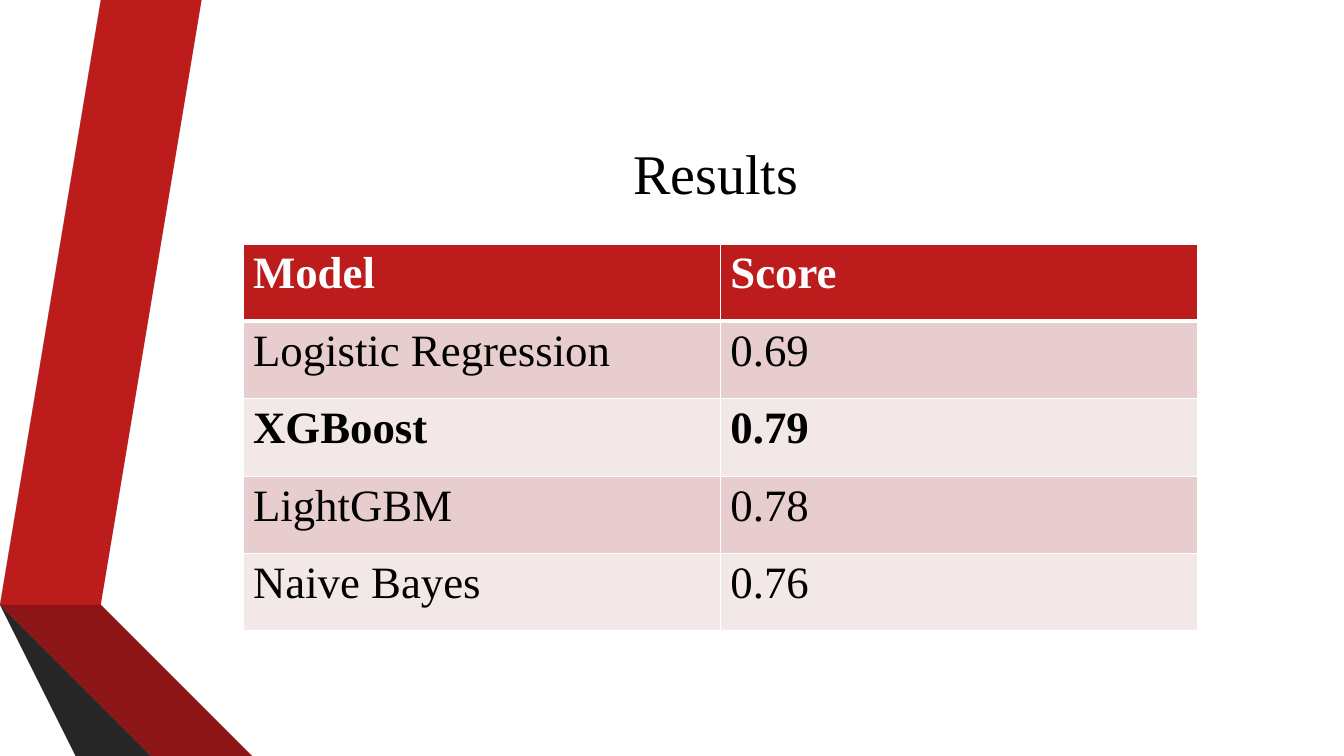
from lxml.etree import SubElement
from pptx import Presentation
from pptx.dml.color import RGBColor
from pptx.enum.text import MSO_ANCHOR as Anchor, PP_ALIGN as Align
from pptx.oxml.ns import qn
from pptx.util import Inches, Pt

FONT = "Times New Roman"
UNIT = Inches(1)  # one column or row of the layout grid
COLS, ROWS = 13.33, 7.5
BLACK, WHITE, RED = "000000", "FFFFFF", "BC1C1C"
BANDS = ("E7CDCD", "F3E8E8")

RIBBONS = [
    (RED, [(0.5, 5.78), (0.77, 5.83), (1.73, 0), (1.45, 0)]),
    ("595959", [(1.39, 0), (1.11, 0), (0.16, 5.73), (0.44, 5.77)]),
    ("262626", [(0.16, 5.73), (1.45, ROWS), (1.51, ROWS)]),
    ("5E0E0E", [(0.5, 5.79), (2.08, ROWS), (2.14, ROWS)]),
    ("8D1515", [(0.5, 5.78), (0.5, 5.79), (2.14, ROWS), (2.83, ROWS), (0.77, 5.83)]),
    ("404040", [(2.02, ROWS), (0.48, 5.83), (0.43, 5.78), (0.44, 5.77),
                (0.16, 5.73), (1.51, ROWS)]),
]
SCORES = [
    ("Model", "Score"),
    ("Logistic Regression", "0.69"),
    ("XGBoost", "0.79"),
    ("LightGBM", "0.78"),
    ("Naive Bayes", "0.76"),
]
BOLD_ROWS = (0, 2)  # the header and the best model


def grid(*counts):
    """Turn grid counts into lengths."""
    return [int(n * UNIT) for n in counts]


def paint(fill, color):
    """Give a fill one solid colour."""
    fill.solid()
    fill.fore_color.rgb = RGBColor.from_string(color)


def write(tf, text, size, color, bold=False, align=Align.LEFT):
    """Write one paragraph into a text frame."""
    p = tf.paragraphs[0]
    p.text, p.alignment = text, align
    p.font.name, p.font.size, p.font.bold = FONT, Pt(size), bold
    paint(p.font.fill, color)


def add_ribbon(s, color, points):
    """Draw one closed, unlined outline."""
    builder = s.shapes.build_freeform(*points[0], scale=UNIT)
    builder.add_line_segments(points[1:], close=True)
    sp = builder.convert_to_shape()
    paint(sp.fill, color)
    sp.line.fill.background()
    sp.shadow.inherit = False


def add_title(s, text, box):
    """Add the centred slide title."""
    tf = s.shapes.add_textbox(*grid(*box)).text_frame
    tf.word_wrap, tf.vertical_anchor = True, Anchor.MIDDLE
    write(tf, text, 40, BLACK, align=Align.CENTER)


def add_borders(cell, widths):
    """Add white cell borders, with a width in points for each side."""
    tc_pr = cell._tc.get_or_add_tcPr()
    for side, width in widths.items():
        ln = SubElement(tc_pr, qn(f"a:ln{side}"), w=str(Pt(width)))
        SubElement(SubElement(ln, qn("a:solidFill")), qn("a:srgbClr"), val=WHITE)


def add_score_table(s, rows, box):
    """Add the table with a red header and banded rows."""
    table = s.shapes.add_table(len(rows), len(rows[0]), *grid(*box)).table
    table.horz_banding = False
    for i, row in enumerate(rows):
        header = i == 0
        for j, text in enumerate(row):
            cell = table.cell(i, j)
            add_borders(cell, {"L": 1, "R": 1, "T": 3 if i == 1 else 1,
                               "B": 3 if header else 1})
            paint(cell.fill, RED if header else BANDS[(i - 1) % 2])
            write(cell.text_frame, text, 32, WHITE if header else BLACK,
                  bold=i in BOLD_ROWS)


def main():
    """Build the results slide and save it."""
    prs = Presentation()
    prs.slide_width, prs.slide_height = grid(COLS, ROWS)
    s = prs.slides.add_slide(prs.slide_layouts[6])
    for color, points in RIBBONS:
        add_ribbon(s, color, points)
    add_title(s, "Results", (1.62, 0.75, 10.96, 1.92))
    add_score_table(s, SCORES, (2.41, 2.42, 9.47, 3.84))
    prs.save("out.pptx")


main()
